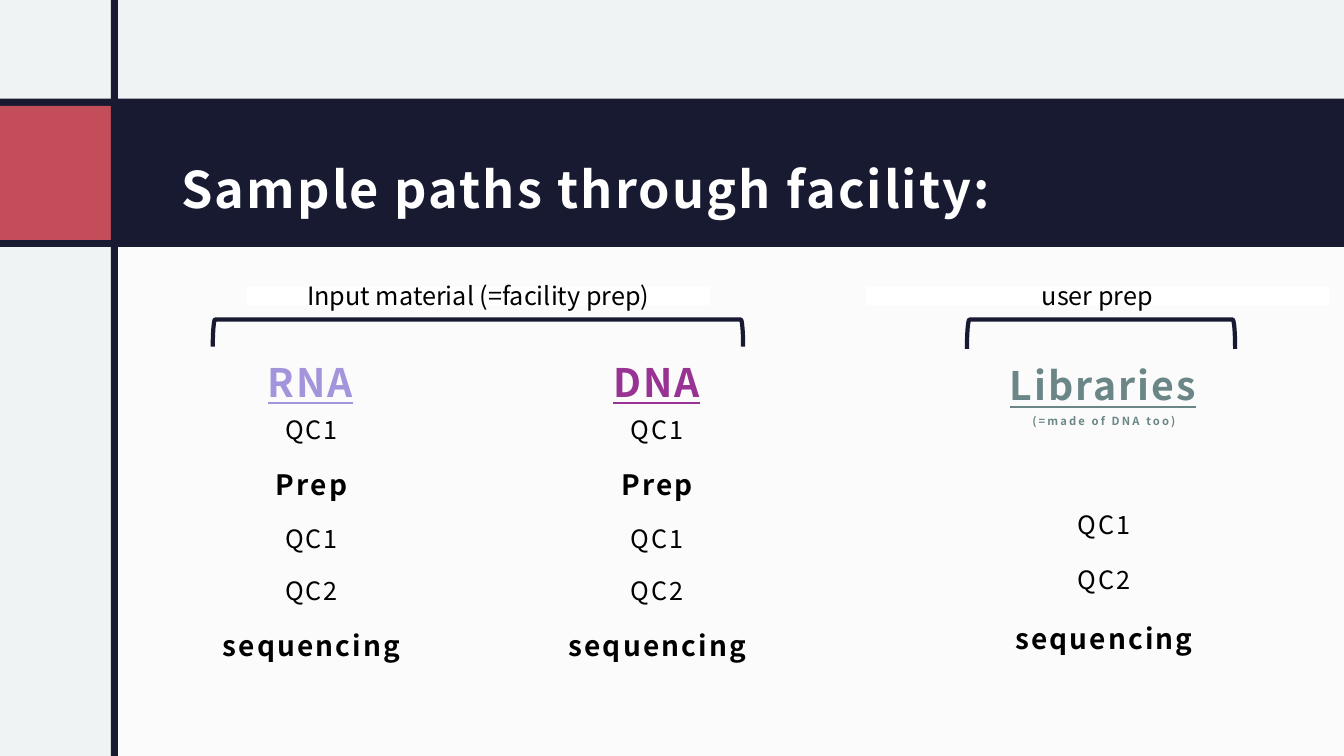
from pptx import Presentation
from pptx.dml.color import RGBColor
from pptx.enum.shapes import MSO_SHAPE
from pptx.enum.text import MSO_ANCHOR, PP_ALIGN
from pptx.oxml import parse_xml
from pptx.oxml.ns import nsdecls
from pptx.util import Inches, Pt

FONT = "Noto Sans CJK JP"
MIST = RGBColor(0xF0, 0xF3, 0xF3)
WHITE = RGBColor(0xFF, 0xFF, 0xFF)
BLACK = RGBColor(0x00, 0x00, 0x00)
NAVY = RGBColor(0x18, 0x1A, 0x32)
RED = RGBColor(0xC3, 0x4D, 0x59)
LILAC = RGBColor(0xA4, 0x94, 0xDB)
PURPLE = RGBColor(0x99, 0x33, 0x93)
SAGE = RGBColor(0x6B, 0x86, 0x86)

WIDTH, HEIGHT = 13.33, 7.5
STEP = {"size": Pt(18), "bold": False}
MILESTONE = {"size": Pt(20), "bold": True}
HEADING = {"size": Pt(28), "bold": True, "underline": True}
FOOTNOTE = {"size": Pt(8), "bold": True}


def add_run(paragraph, text, color, style, tracking=0):
    run = paragraph.add_run()
    run.text = text
    run.font.name = FONT
    run.font.color.rgb = color
    for attribute, value in style.items():
        setattr(run.font, attribute, value)
    if tracking:
        run._r.get_or_add_rPr().set("spc", str(int(tracking * 100)))


def add_block(slide, box, color, opacity=100):
    block = slide.shapes.add_shape(MSO_SHAPE.RECTANGLE, *map(Inches, box))
    block.shadow.inherit = False
    block.fill.solid()
    block.fill.fore_color.rgb = color
    block.line.fill.background()
    if opacity < 100:
        block.fill._xPr.solidFill[0].append(parse_xml(
            f'<a:alpha {nsdecls("a")} val="{opacity * 1000}"/>'))
    return block


def add_frame(slide, box):
    frame = slide.shapes.add_textbox(*map(Inches, box)).text_frame
    layout = {"word_wrap": True, "margin_left": Inches(0.12),
              "margin_right": Inches(0.12), "margin_top": Inches(0.12),
              "margin_bottom": Inches(0.1)}
    for attribute, value in layout.items():
        setattr(frame, attribute, value)
    return frame


def add_backdrop(slide):
    slide.background.fill.solid()
    slide.background.fill.fore_color.rgb = MIST
    # Content panel
    add_block(slide, (1.14, 2.33, WIDTH - 1.14, HEIGHT - 2.33), WHITE, 75)


def add_title_band(slide, box, title):
    left, top, width, height = box
    add_block(slide, box, NAVY)
    frame = add_frame(slide, (left + 1.68, top + 0.16, 10.95, 1.13))
    frame.vertical_anchor = MSO_ANCHOR.MIDDLE
    frame.paragraphs[0].line_spacing = 1.5
    add_run(frame.paragraphs[0], title, WHITE,
            {"size": Pt(36), "bold": True}, 1.5)
    # Red accent and vertical rule
    add_block(slide, (left, top + 0.07, 1.1, height - 0.14), RED)
    add_block(slide, (left + 1.1, 0, 0.07, HEIGHT), NAVY)


def add_group_header(slide, label_box, bracket_box, label):
    # Bracket: a left bracket turned to open downwards
    left, top, width, height = bracket_box
    bracket = slide.shapes.add_shape(
        MSO_SHAPE.LEFT_BRACKET,
        Inches(left + (width - height) / 2), Inches(top + (height - width) / 2),
        Inches(height), Inches(width))
    bracket.rotation = 90
    bracket.shadow.inherit = False
    bracket.fill.background()
    bracket.line.color.rgb = NAVY
    bracket.line.width = Pt(3)
    # Label
    frame = add_block(slide, label_box, WHITE).text_frame
    frame.word_wrap = True
    frame.vertical_anchor = MSO_ANCHOR.MIDDLE
    frame.paragraphs[0].alignment = PP_ALIGN.CENTER
    add_run(frame.paragraphs[0], label, BLACK, {"size": Pt(18)})


def add_path(slide, box, heading, subline, steps, color, spacing, gap=9.3):
    """A sample path; subline is (text, color, style), gap precedes the steps."""
    frame = add_frame(slide, box)
    name = frame.paragraphs[0]
    add_run(name, heading, color, HEADING, 1.5)
    name.add_line_break()
    add_run(name, *subline, 1.5)
    for text, style in steps:
        add_run(frame.add_paragraph(), text, BLACK, style, 1.5)
    for paragraph in frame.paragraphs:
        paragraph.alignment = PP_ALIGN.CENTER
        paragraph.line_spacing = spacing
        paragraph.space_before = Pt(9.3)
    frame.paragraphs[1].space_before = Pt(gap)


def main():
    deck = Presentation()
    deck.slide_width, deck.slide_height = Inches(WIDTH), Inches(HEIGHT)
    slide = deck.slides.add_slide(deck.slide_layouts[6])

    add_backdrop(slide)
    add_title_band(slide, (0, 0.98, WIDTH, 1.47), "Sample paths through facility:")

    # Sample paths
    final_steps = [("QC1", STEP), ("QC2", STEP), ("sequencing", MILESTONE)]
    facility_steps = [("Prep", MILESTONE)] + final_steps
    for left, material, color in ((1.14, "RNA", LILAC), (4.57, "DNA", PURPLE)):
        add_path(slide, (left, 3.29, 3.9, 3.42), material, ("QC1", BLACK, STEP),
                 facility_steps, color, 1.3)
    add_path(slide, (8.94, 3.28, 4.02, 3.72), "Libraries",
             ("(=made of DNA too)", SAGE, FOOTNOTE), final_steps, SAGE, 1.4, 50)

    # Group headers
    add_group_header(slide, (2.45, 2.84, 4.59, 0.19), (2.11, 3.17, 5.26, 0.27),
                     "Input material (=facility prep)")
    add_group_header(slide, (8.59, 2.84, 4.59, 0.19), (9.59, 3.17, 2.66, 0.29),
                     "user prep")
    deck.save("out.pptx")


if __name__ == "__main__":
    main()
